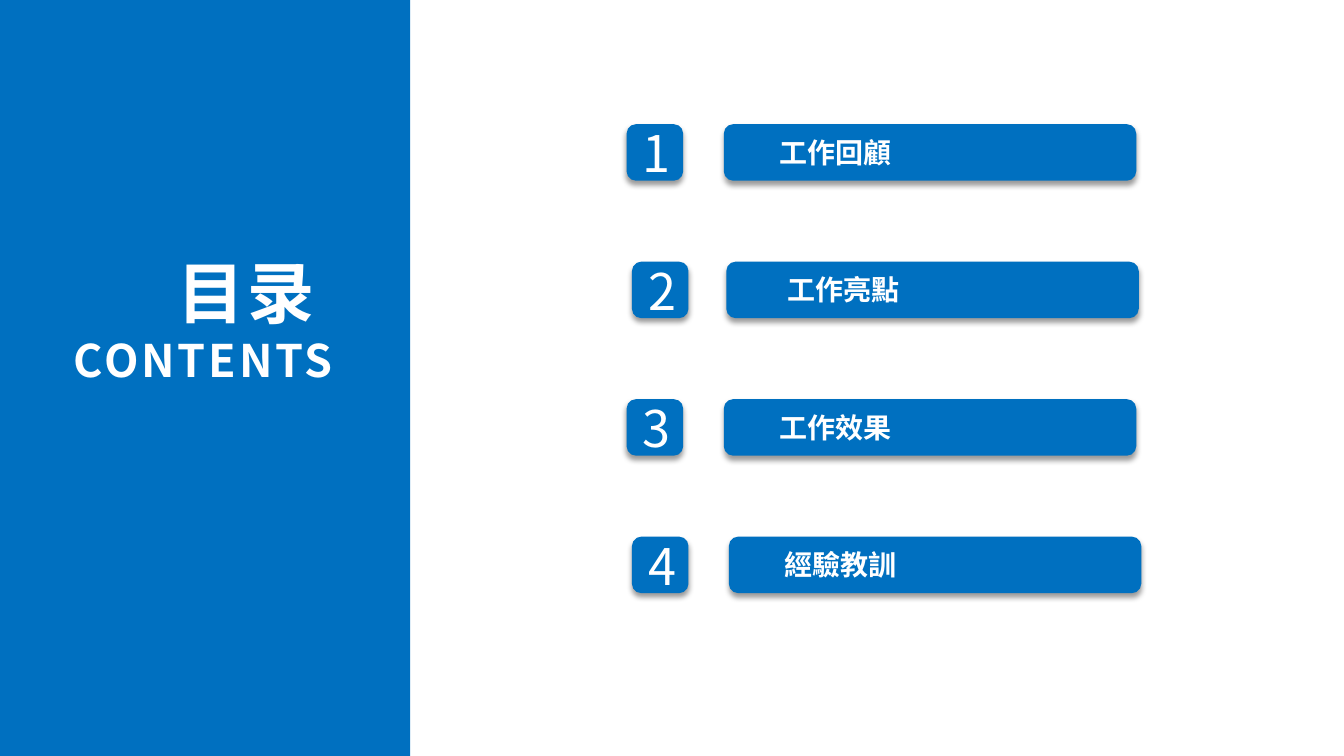
from lxml.etree import SubElement
from pptx import Presentation
from pptx.dml.color import RGBColor
from pptx.enum.shapes import MSO_SHAPE as Preset
from pptx.enum.text import MSO_ANCHOR as Anchor, MSO_AUTO_SIZE as AutoSize, PP_ALIGN as Align
from pptx.oxml.ns import qn
from pptx.util import Pt

COLORS = {"blue": "0070C0", "white": "FFFFFF", "shadow": "000000"}
FONT = "Noto Sans CJK SC"


def add_block(shapes, preset, left, top, width, height, shadow=False):
    """Add a borderless blue shape, optionally with a soft shadow below it."""
    shape = shapes.add_shape(preset, Pt(left), Pt(top), Pt(width), Pt(height))
    shape.fill.solid()
    shape.fill.fore_color.rgb = RGBColor.from_string(COLORS["blue"])
    shape.line.fill.background()
    shape.shadow.inherit = False
    if shadow:
        effects = shape._element.spPr.find(qn("a:effectLst"))
        outer = SubElement(effects, qn("a:outerShdw"), blurRad=str(Pt(4)),
                           dist=str(Pt(3)), dir="5400000", rotWithShape="0")
        color = SubElement(outer, qn("a:srgbClr"), val=COLORS["shadow"])
        SubElement(color, qn("a:alpha"), val="40000")
    return shape


def write_text(shape, text, sizes, bold=False, align=Align.LEFT, anchor=Anchor.TOP,
               spacing=0, auto_size=AutoSize.NONE):
    """Write one paragraph per line of text, each with its own size."""
    frame = shape.text_frame
    frame.text = text
    frame.word_wrap = True
    frame.auto_size = auto_size
    frame.vertical_anchor = anchor
    frame.margin_left = frame.margin_right = Pt(9.6)
    frame.margin_top = frame.margin_bottom = Pt(4.8)
    for paragraph, size in zip(frame.paragraphs, sizes):
        paragraph.alignment = align
        for run in paragraph.runs:
            run.font.size = Pt(size)
            run.font.bold = bold
            run.font.name = FONT
            run.font.color.rgb = RGBColor.from_string(COLORS["white"])
            properties = run._r.get_or_add_rPr()
            SubElement(properties, qn("a:ea"), typeface=FONT)
            if spacing:
                properties.set("spc", str(spacing * 100))


presentation = Presentation()
presentation.slide_width, presentation.slide_height = Pt(960), Pt(540)
slide = presentation.slides.add_slide(presentation.slide_layouts[5])

title = slide.shapes.title
panel = add_block(slide.shapes, Preset.RECTANGLE, 0, 0, 293, 540)
title._element.addprevious(panel._element)
title.left, title.top, title.width, title.height = Pt(26.6), Pt(175), Pt(221), Pt(106.6)
write_text(title, "目录 \nCONTENTS", (48, 32), bold=True, align=Align.RIGHT,
           spacing=2, auto_size=AutoSize.SHAPE_TO_FIT_TEXT)

# Section name, then left edges of number, bar and label, then label width
sections = [
    ("工作回顧", 447.6, 517, 547.2, 209),
    ("工作亮點", 451.4, 518.8, 553, 209),
    ("工作效果", 447.6, 517, 547.2, 215),
    ("經驗教訓", 451.4, 520.6, 550.8, 215),
]
FIRST_TOP, ROW_PITCH, BLOCK_HEIGHT = 88.7, 98.2, 40.4

for index, (name, number_left, bar_left, label_left, label_width) in enumerate(sections):
    top = FIRST_TOP + index * ROW_PITCH
    number = add_block(slide.shapes, Preset.ROUNDED_RECTANGLE, number_left, top,
                       BLOCK_HEIGHT, BLOCK_HEIGHT, shadow=True)
    write_text(number, str(index + 1), (36,), align=Align.CENTER, anchor=Anchor.MIDDLE)
    group = slide.shapes.add_group_shape()
    add_block(group.shapes, Preset.ROUNDED_RECTANGLE, bar_left, top,
              294.6, BLOCK_HEIGHT, shadow=True)
    label = add_block(group.shapes, Preset.RECTANGLE, label_left, top + 3.3, label_width, 33.8)
    write_text(label, name, (20,), bold=True, auto_size=AutoSize.SHAPE_TO_FIT_TEXT)

presentation.save("out.pptx")
